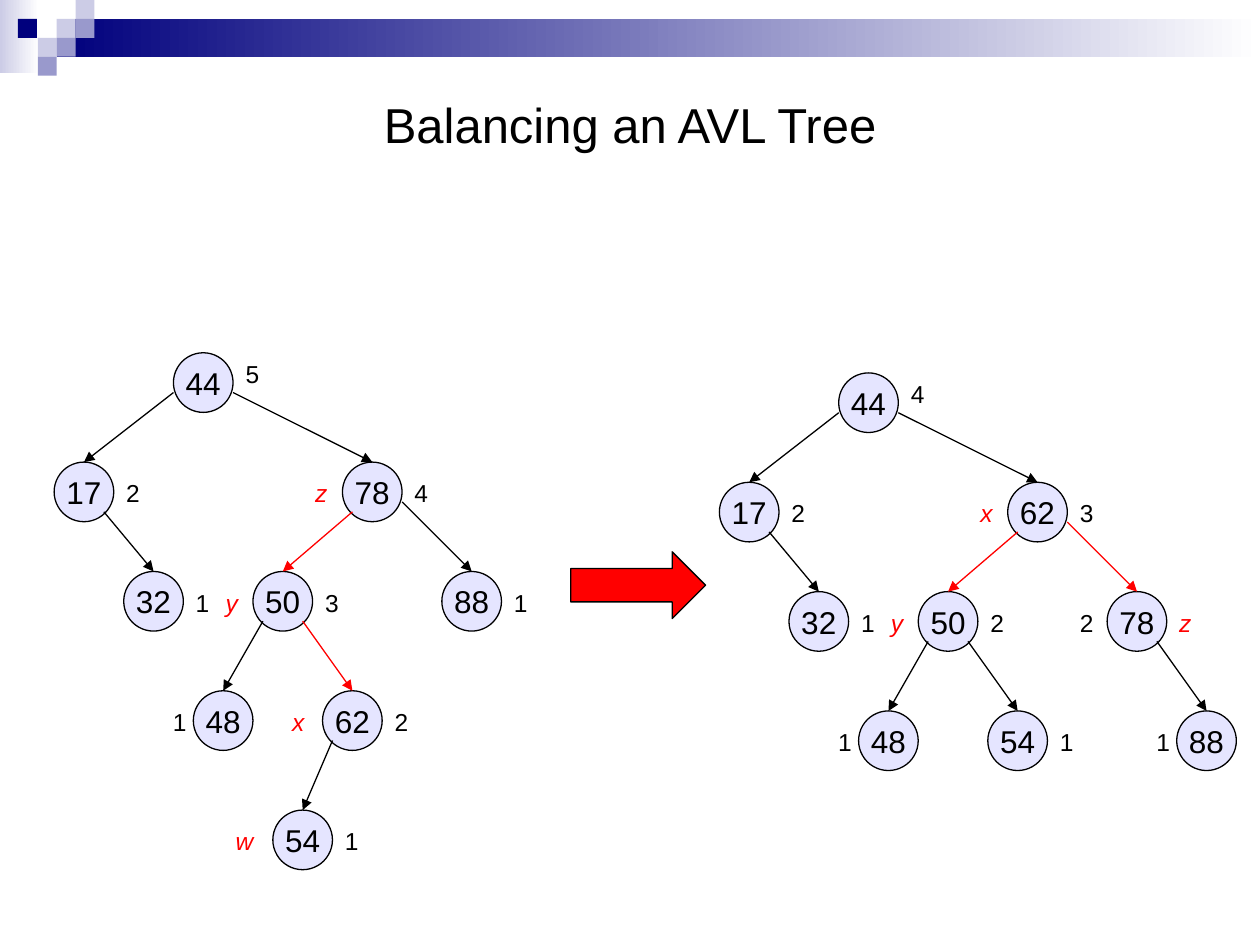
from pptx import Presentation
from pptx.dml.color import RGBColor
from pptx.enum.shapes import MSO_CONNECTOR, MSO_SHAPE as SHAPE
from pptx.enum.text import MSO_ANCHOR, MSO_AUTO_SIZE, PP_ALIGN
from pptx.oxml.ns import qn
from pptx.util import Inches, Pt
from lxml.etree import SubElement

COLORS = {
    "black": "000000", "white": "FFFFFF", "red": "FF0000", "node": "9999FF",
    "navy": "00007D", "pale": "CCCCE6", "mid": "9999CC",
}
RGB = {name: RGBColor.from_string(c) for name, c in COLORS.items()}

U = 0.0789  # grid unit of the trees, in inches
NODE = 6    # node diameter, in units
LEVELS = [0, 11, 22, 34, 46]  # top of each tree level, in units

prs = Presentation()
prs.slide_width, prs.slide_height = Inches(10), Inches(7.5)
s = prs.slides.add_slide(prs.slide_layouts[6])


def add_shape(kind, x, y, w, h, fill=None, line=None):
    sp = s.shapes.add_shape(kind, Inches(x), Inches(y), Inches(w), Inches(h))
    sp.shadow.inherit = False
    if fill:
        sp.fill.solid()
        sp.fill.fore_color.rgb = RGB[fill]
    if line:
        sp.line.color.rgb = RGB[line]
        sp.line.width = Pt(0.75)
    else:
        sp.line.fill.background()
    return sp


def set_text(sp, text, size, color="black", align=PP_ALIGN.CENTER, italic=None):
    tf = sp.text_frame
    tf.word_wrap = False
    tf.vertical_anchor = MSO_ANCHOR.MIDDLE
    p = tf.paragraphs[0]
    p.text = text
    p.alignment = align
    p.font.name, p.font.size, p.font.italic = "Arial", Pt(size), italic
    p.font.color.rgb = RGB[color]
    return tf


# Header bands fading to white on the right
for x, y, w, h, color in [(0, 0, 0.31, 0.58, "pale"), (0.45, 0.15, 9.55, 0.3, "navy")]:
    band = add_shape(SHAPE.RECTANGLE, x, y, w, h)
    band.fill.gradient()
    band.fill.gradient_angle = 180
    for stop, name in zip(band.fill.gradient_stops, ("white", color)):
        stop.color.rgb = RGB[name]

# Header squares as (column, row, colour)
SQUARE = 0.15
for col, row, color in [(3, 1, "pale"), (4, 0, "pale"), (4, 1, "mid"), (2, 2, "pale"),
                        (0.95, 1, "navy"), (3, 2, "mid"), (2, 3, "mid")]:
    add_shape(SHAPE.RECTANGLE, col * SQUARE, row * SQUARE, SQUARE, SQUARE, color)

# Title
title = s.shapes.add_textbox(Inches(0.5), Inches(0.5), Inches(9), Inches(0.97))
set_text(title, "Balancing an AVL Tree", 28).word_wrap = True

# Node: column, level, parent, edge colour, then labels as (text, offset from node)
before = {
    "44": (12, 0, None, None, [("5", 6)]),
    "17": (0, 1, "44", "black", [("2", 6)]),
    "78": (29, 1, "44", "black", [("4", 6), ("z", -4)]),
    "88": (39, 2, "78", "black", [("1", 6)]),
    "50": (20, 2, "78", "red", [("3", 6), ("y", -4)]),
    "32": (7, 2, "17", "black", [("1", 6)]),
    "48": (14, 3, "50", "black", [("1", -3.3)]),
    "62": (27, 3, "50", "red", [("2", 6), ("x", -4.3)]),
    "54": (22, 4, "62", "black", [("1", 6), ("w", -5)]),
}
after = {
    "44": (12, 0, None, None, [("4", 6)]),
    "17": (0, 1, "44", "black", [("2", 6)]),
    "62": (29, 1, "44", "black", [("3", 6), ("x", -4)]),
    "78": (39, 2, "62", "red", [("2", -4), ("z", 6)]),
    "50": (20, 2, "62", "red", [("2", 6), ("y", -4)]),
    "32": (7, 2, "17", "black", [("1", 6)]),
    "48": (14, 3, "50", "black", [("1", -3.3)]),
    "54": (27, 3, "50", "black", [("1", 6)]),
    "88": (46, 3, "78", "black", [("1", -3.3)]),
}

for tree, left, top in [(before, 0.43, 2.8), (after, 5.71, 2.96)]:
    # Nodes
    for key, (col, level, *_) in tree.items():
        node = add_shape(SHAPE.OVAL, left + col * U, top + LEVELS[level] * U,
                         NODE * U, NODE * U, "node", "black")
        clr = node.fill._xPr.find(qn("a:solidFill")).find(qn("a:srgbClr"))
        SubElement(clr, qn("a:alpha"), val="25000")
        set_text(node, key, 18)

    for col, level, parent, color, labels in tree.values():
        row = LEVELS[level]

        # Edge from the parent's side or lower corner to the top of the node
        if parent:
            p_col, p_level = tree[parent][:2]
            dx = col - p_col
            inset, drop = (0, 4) if abs(dx) >= 10 else (1, 5)
            start = p_col + (inset if dx < 0 else NODE - inset)
            edge = s.shapes.add_connector(
                MSO_CONNECTOR.STRAIGHT,
                Inches(left + start * U), Inches(top + (LEVELS[p_level] + drop) * U),
                Inches(left + (col + NODE / 2) * U), Inches(top + row * U))
            edge.line.color.rgb = RGB[color]
            edge.line.width = Pt(0.75)
            SubElement(edge.line._get_or_add_ln(), qn("a:tailEnd"), type="triangle")
            SubElement(edge._element.spPr, qn("a:effectLst"))

        # Heights in black, rotation names in red italics
        for text, offset in labels:
            label = s.shapes.add_textbox(
                Inches(left + (col + offset) * U),
                Inches(top + (row + (1 if parent else 0)) * U), Inches(4 * U), Inches(0.34))
            named = text.isalpha()
            tf = set_text(label, text, 14, "red" if named else "black", PP_ALIGN.LEFT, named)
            tf.vertical_anchor = MSO_ANCHOR.TOP
            tf.auto_size = MSO_AUTO_SIZE.SHAPE_TO_FIT_TEXT

# Arrow between the trees
add_shape(SHAPE.RIGHT_ARROW, 4.53, 4.38, 1.07, 0.53, "red", "black")

prs.save("out.pptx")
